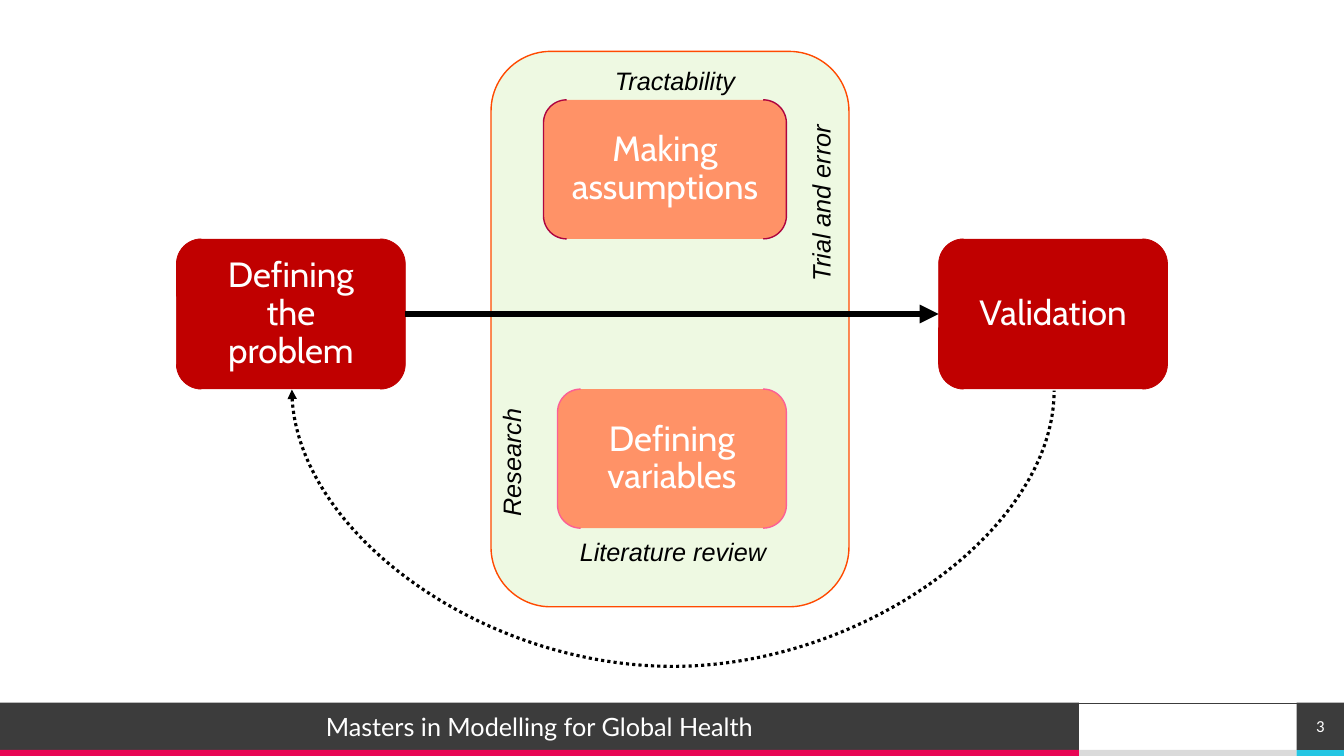
from lxml.etree import SubElement
from pptx import Presentation
from pptx.dml.color import RGBColor
from pptx.enum.dml import MSO_LINE
from pptx.enum.shapes import MSO_CONNECTOR, MSO_SHAPE
from pptx.enum.text import MSO_ANCHOR, MSO_AUTO_SIZE, PP_ALIGN
from pptx.oxml.ns import qn
from pptx.util import Inches, Pt

COLOURS = {
    "white": "FFFFFF", "black": "000000", "charcoal": "3C3C3C",
    "grey": "DADADA", "pink": "E80554", "cyan": "25C6E3",
    "mint": "EEF9E2", "orange": "FF4A01", "red": "C00000",
    "salmon": "FF9267", "rose": "FC5F95", "wine": "AE043F",
}


def colour(name):
    return RGBColor.from_string(COLOURS[name])


def write(frame, text, font="Arial", size=18, color="black", italic=False,
          align=PP_ALIGN.CENTER, anchor=MSO_ANCHOR.TOP, spacing=None, inset=None):
    frame.word_wrap = True
    frame.vertical_anchor = anchor
    if inset is not None:
        frame.margin_left = frame.margin_right = Inches(inset)
        frame.margin_top = frame.margin_bottom = Inches(inset)
    para = frame.paragraphs[0]
    para.alignment = align
    if spacing:
        para.line_spacing = spacing
    span = para.add_run()
    span.text = text
    span.font.name = font
    span.font.size = Pt(size)
    span.font.italic = italic
    span.font.color.rgb = colour(color)


class Diagram:
    def __init__(self, page):
        self.page = page

    def block(self, place, fill, line=None, width=1, kind=MSO_SHAPE.RECTANGLE):
        box = self.page.shapes.add_shape(kind, *map(Inches, place))
        box.shadow.inherit = False
        box.fill.solid()
        box.fill.fore_color.rgb = colour(fill)
        if line:
            box.line.color.rgb = colour(line)
            box.line.width = Pt(width)
        else:
            box.line.fill.background()
        return box

    def step(self, text, place, fill, line, width=1):
        box = self.block(place, fill, line, width, MSO_SHAPE.DOUBLE_BRACKET)
        write(box.text_frame, text, font="Cabin", size=25, color="white",
              anchor=MSO_ANCHOR.MIDDLE, spacing=0.9, inset=0.17)
        return box

    def label(self, text, place, rotation=0, align=PP_ALIGN.CENTER):
        box = self.page.shapes.add_textbox(*map(Inches, place))
        box.rotation = rotation
        write(box.text_frame, text, italic=True, align=align)
        box.text_frame.auto_size = MSO_AUTO_SIZE.SHAPE_TO_FIT_TEXT

    def line(self, ends, width, color="black", kind=MSO_CONNECTOR.STRAIGHT, arrow=None):
        link = self.page.shapes.add_connector(kind, *map(Inches, ends))
        link.line.color.rgb = colour(color)
        link.line.width = Pt(width)
        if arrow:
            SubElement(link.line._get_or_add_ln(), qn("a:" + arrow), type="triangle")
        SubElement(link._element.spPr, qn("a:effectLst"))
        return link

    def loop(self, ends, width, bend):
        """Dotted curve turned a quarter, bulging by bend times its own width."""
        curve = self.line(ends, width, kind=MSO_CONNECTOR.CURVE, arrow="headEnd")
        curve.line.dash_style = MSO_LINE.ROUND_DOT
        properties = curve._element.spPr
        properties.find(qn("a:xfrm")).set("rot", str(270 * 60000))
        guides = properties.find(qn("a:prstGeom")).find(qn("a:avLst"))
        SubElement(guides, qn("a:gd"), name="adj1", fmla=f"val {bend * 100000}")


def main():
    deck = Presentation()
    deck.slide_width, deck.slide_height = Inches(13.33), Inches(7.5)
    page = deck.slides.add_slide(deck.slide_layouts[6])
    diagram = Diagram(page)

    # Footer
    diagram.block((10.7, 7.44, 2.16, 0.06), "grey")
    footer = diagram.block((0, 6.97, 10.7, 0.47), "charcoal")
    write(footer.text_frame, "Masters in Modelling for Global Health",
          font="Lato", color="white", anchor=MSO_ANCHOR.MIDDLE)
    diagram.block((0, 7.44, 10.7, 0.06), "pink")
    diagram.block((12.86, 7.44, 0.47, 0.06), "cyan")
    diagram.line((13.33, 6.98, 0, 6.98), 0.5, "charcoal")

    # Steps of the modelling cycle
    diagram.block((4.87, 0.51, 3.55, 5.51), "mint", "orange", kind=MSO_SHAPE.ROUNDED_RECTANGLE)
    problem = diagram.step("Defining the problem", (1.75, 2.37, 2.27, 1.49), "red", "red", 0.5)
    diagram.step("Defining variables", (5.53, 3.86, 2.27, 1.38), "salmon", "rose")
    diagram.step("Making assumptions", (5.39, 0.99, 2.41, 1.38), "salmon", "wine")
    validation = diagram.step("Validation", (9.31, 2.37, 2.27, 1.49), "red", "red", 0.5)

    # Arrows forward and back
    forward = diagram.line((4.02, 3.12, 9.31, 3.12), 4.5, arrow="tailEnd")
    forward.begin_connect(problem, 3)
    forward.end_connect(validation, 1)
    diagram.loop((6.68, 0.09, 6.67, 7.65), 2.25, bend=279)

    # Labels around the steps
    diagram.label("Trial and error", (6.73, 1.28, 2.82, 0.4), 270, PP_ALIGN.LEFT)
    diagram.label("Literature review", (5.49, 5.27, 2.37, 0.4))
    diagram.label("Tractability", (5.83, 0.6, 1.73, 0.4))
    diagram.label("Research", (3.66, 3.61, 2.82, 0.4), 270, PP_ALIGN.LEFT)

    # Page number
    number = diagram.block((12.86, 6.97, 0.47, 0.47), "charcoal")
    write(number.text_frame, "3", font="Calibri", size=12, color="white",
          anchor=MSO_ANCHOR.MIDDLE, inset=0)

    deck.save("out.pptx")


if __name__ == "__main__":
    main()
